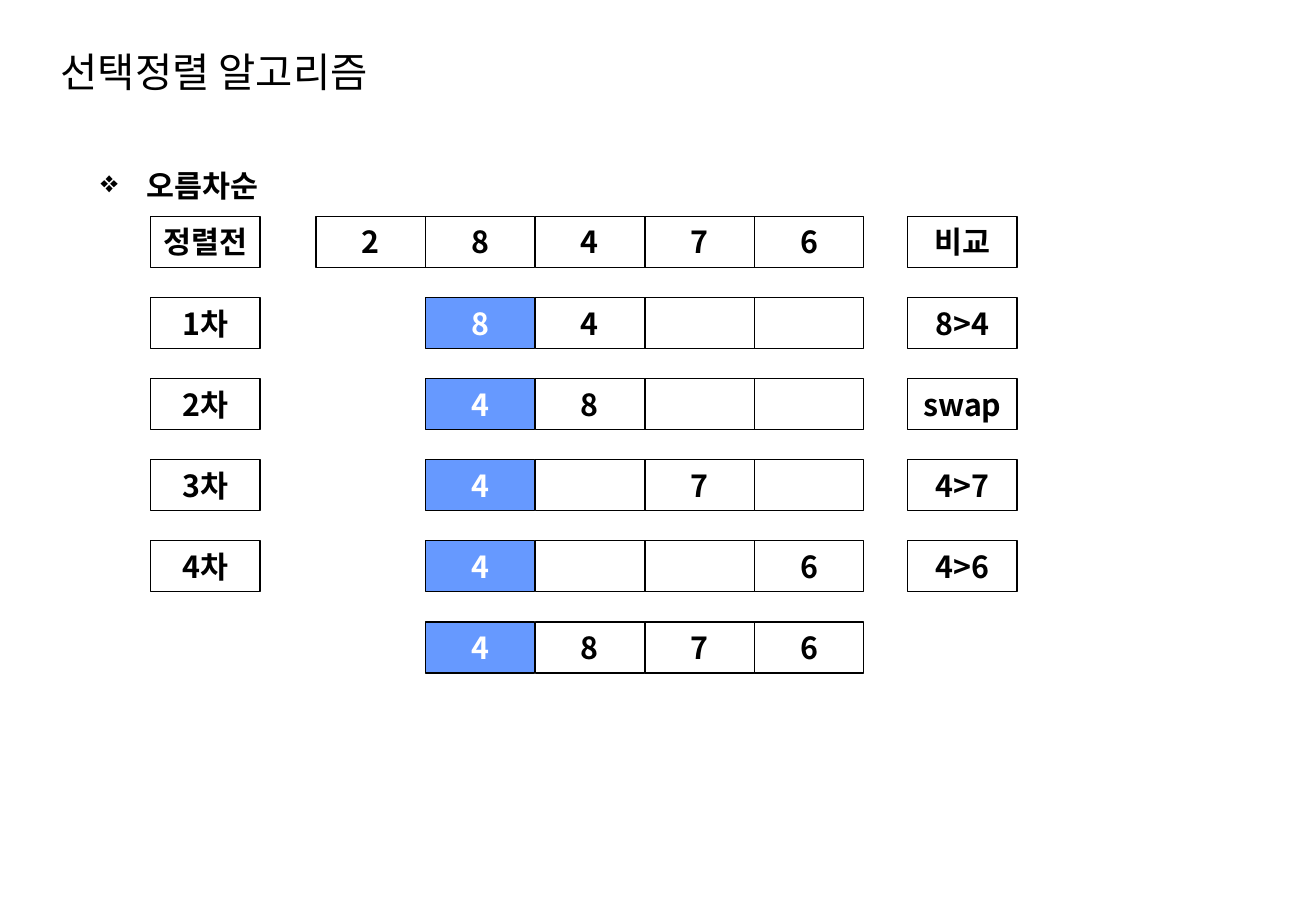
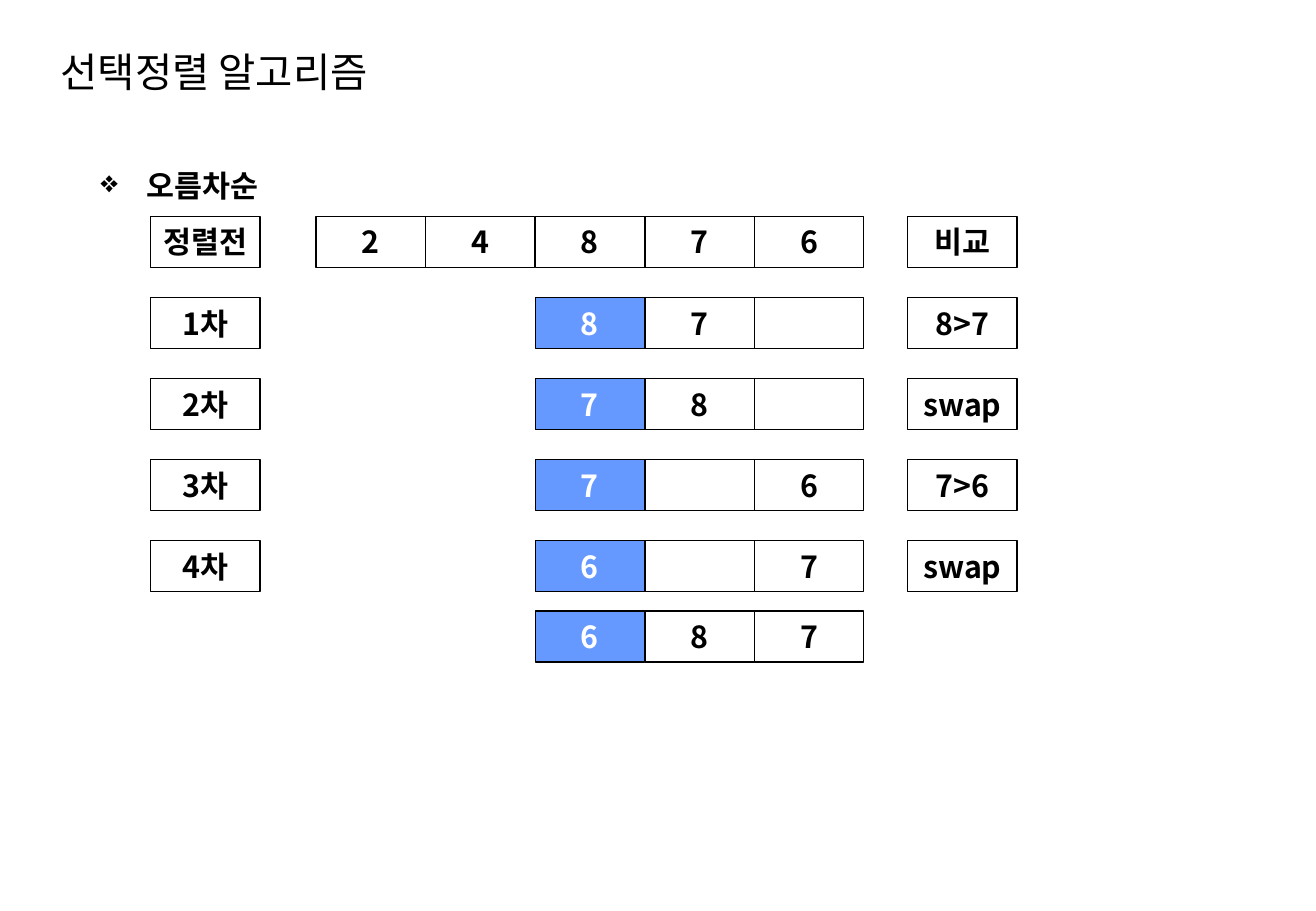
import pptx
import pptx.util
import pptx.dml.color
import pptx.enum.shapes
import pptx.enum.text
import pptx.oxml.ns
import lxml.etree
from dataclasses import dataclass

Inches = pptx.util.Inches

# Content: cells are aligned to the right-hand end of the array
TITLE = "선택정렬 알고리즘"
ORDER = "오름차순"
PASSES = [
    {
        "start": ["2", "8", "4", "7", "6"],
        "steps": [
            ("1차", ["8", "4", "", ""], "8>4"),
            ("2차", ["4", "8", "", ""], "swap"),
            ("3차", ["4", "", "7", ""], "4>7"),
            ("4차", ["4", "", "", "6"], "4>6"),
        ],
        "result": ["4", "8", "7", "6"],
        "result_top": 5.12,
    },
    {
        "start": ["2", "4", "8", "7", "6"],
        "steps": [
            ("1차", ["8", "7", ""], "8>7"),
            ("2차", ["7", "8", ""], "swap"),
            ("3차", ["7", "", "6"], "7>6"),
            ("4차", ["6", "", "7"], "swap"),
        ],
        "result": ["6", "8", "7"],
        "result_top": 5.03,
    },
]


# Shared look
@dataclass(frozen=True)
class Theme:
    font: str = "Noto Sans CJK KR"
    ink: str = "000000"
    paper: str = "FFFFFF"
    accent: str = "6699FF"
    title_size: int = 24
    body_size: int = 18
    line_width: float = 0.75


THEME = Theme()

# Grid, in inches
ARRAY_SIZE = 5
LABEL_LEFT, ARRAY_LEFT, COMPARE_LEFT = 1.24, 2.6, 7.47
CELL_WIDTH, CELL_HEIGHT = 0.9, 0.42
COLUMN_PITCH = (6.21 - ARRAY_LEFT) / (ARRAY_SIZE - 1)
FIRST_ROW = 1.78
ROW_PITCH = (5.12 - FIRST_ROW) / 5


def color(value):
    return pptx.dml.color.RGBColor.from_string(value)


def write(frame, text, size, ink, bold):
    frame.vertical_anchor = pptx.enum.text.MSO_ANCHOR.MIDDLE
    paragraph = frame.paragraphs[0]
    paragraph.text = text
    for run in paragraph.runs:
        run.font.name = THEME.font
        run.font.size = pptx.util.Pt(size)
        run.font.bold = bold
        run.font.color.rgb = color(ink)
        east_asian = lxml.etree.SubElement(run.font._element, pptx.oxml.ns.qn("a:ea"))
        east_asian.set("typeface", THEME.font)
    return paragraph


def add_text(slide, box, text, size, bold):
    frame = slide.shapes.add_textbox(*map(Inches, box)).text_frame
    frame.word_wrap = True
    return frame, write(frame, text, size, THEME.ink, bold)


def add_heading(slide):
    add_text(slide, (0.4, 0.32, 6.26, 0.54), TITLE, THEME.title_size, False)
    frame, paragraph = add_text(slide, (0.73, 1.33, 9.33, 5.58), ORDER, THEME.body_size, True)
    frame.vertical_anchor = pptx.enum.text.MSO_ANCHOR.TOP
    # Hanging bullet
    properties = paragraph._p.get_or_add_pPr()
    properties.set("marL", str(Inches(0.38)))
    properties.set("indent", str(-Inches(0.38)))
    bullet = lxml.etree.SubElement(properties, pptx.oxml.ns.qn("a:buChar"))
    bullet.set("char", "❖")


def add_cell(slide, left, top, text, active=False):
    cell = slide.shapes.add_shape(
        pptx.enum.shapes.MSO_SHAPE.RECTANGLE,
        *map(Inches, (left, top, CELL_WIDTH, CELL_HEIGHT)))
    cell.shadow.inherit = False
    cell.fill.solid()
    cell.fill.fore_color.rgb = color(THEME.accent if active else THEME.paper)
    cell.line.color.rgb = color(THEME.ink)
    cell.line.width = pptx.util.Pt(THEME.line_width)
    if text:
        cell.text_frame.word_wrap = False
        ink = THEME.paper if active else THEME.ink
        paragraph = write(cell.text_frame, text, THEME.body_size, ink, True)
        paragraph.alignment = pptx.enum.text.PP_ALIGN.CENTER


def add_array(slide, top, values, highlight=True):
    first_column = ARRAY_SIZE - len(values)
    for index, value in enumerate(values):
        left = ARRAY_LEFT + (first_column + index) * COLUMN_PITCH
        add_cell(slide, left, top, value, active=highlight and index == 0)


def add_pass(slide, sort_pass):
    rows = [("정렬전", sort_pass["start"], "비교")] + sort_pass["steps"]
    for number, (label, values, comparison) in enumerate(rows):
        top = FIRST_ROW + number * ROW_PITCH
        add_cell(slide, LABEL_LEFT, top, label)
        add_array(slide, top, values, highlight=number > 0)
        add_cell(slide, COMPARE_LEFT, top, comparison)
    add_array(slide, sort_pass["result_top"], sort_pass["result"])


def main():
    deck = pptx.Presentation()
    deck.slide_width, deck.slide_height = Inches(10.83), Inches(7.5)
    for sort_pass in PASSES:
        slide = deck.slides.add_slide(deck.slide_layouts[6])
        add_heading(slide)
        add_pass(slide, sort_pass)
    deck.save("out.pptx")


if __name__ == "__main__":
    main()
